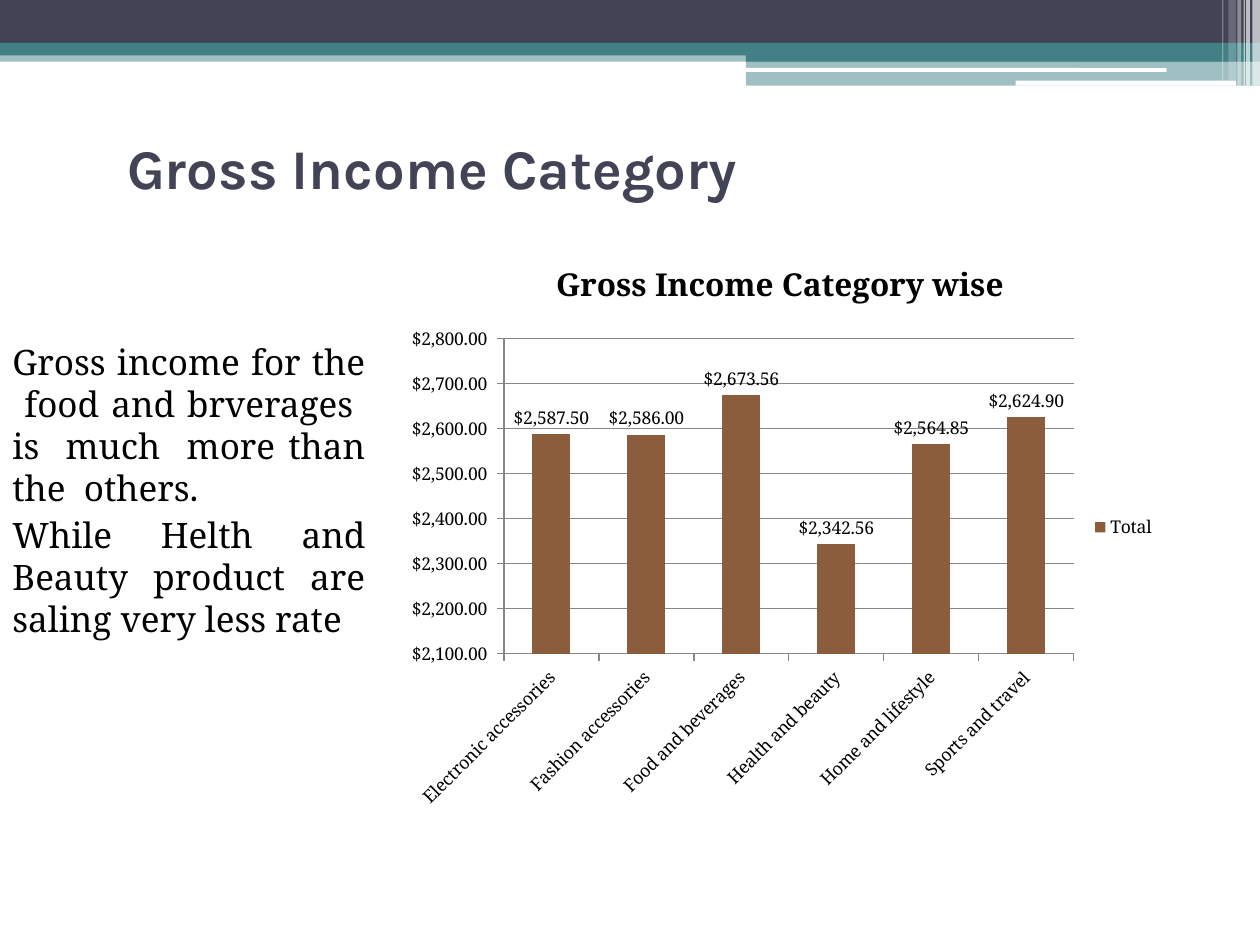
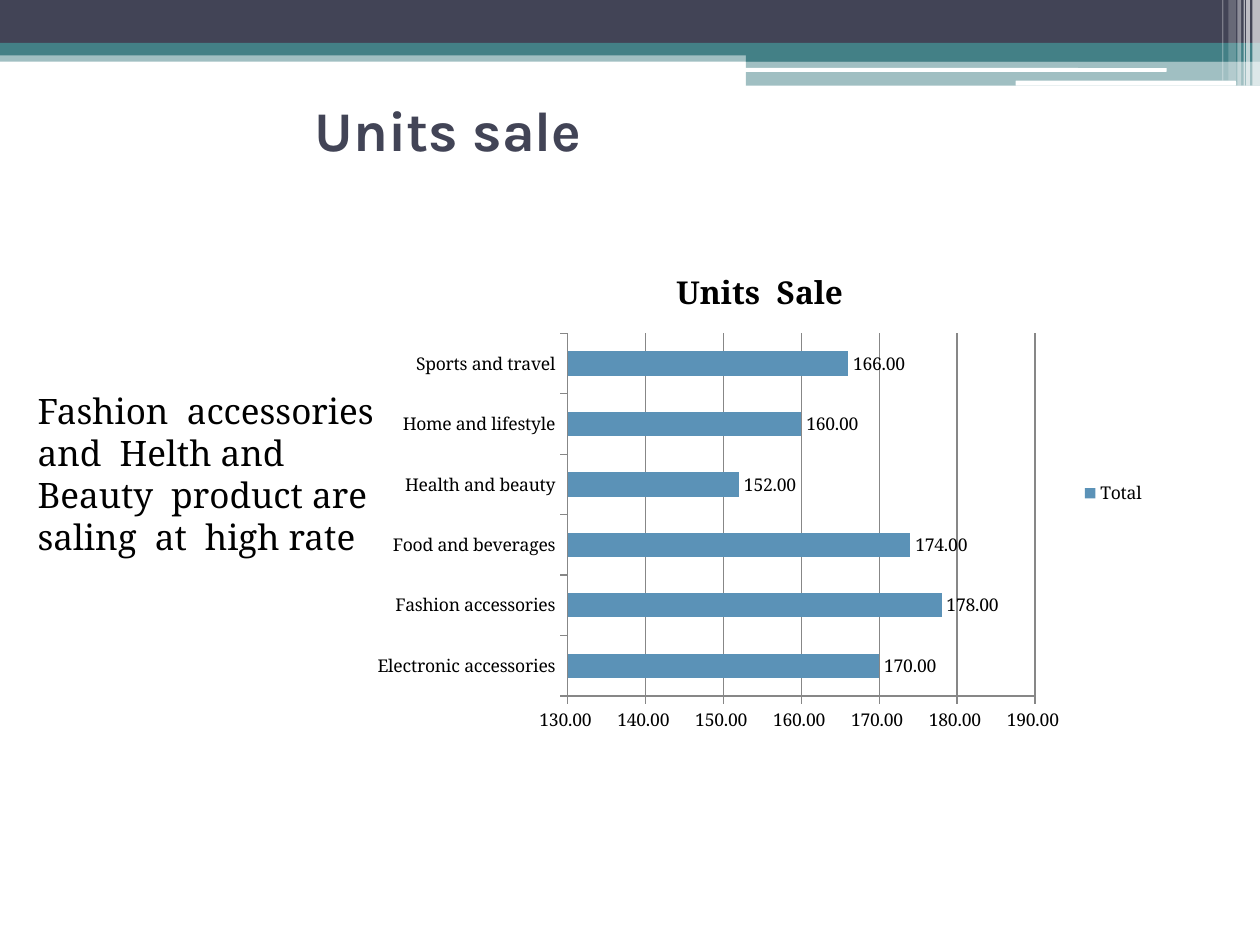
from dataclasses import dataclass

from lxml.etree import SubElement
from pptx import Presentation
from pptx.chart.data import CategoryChartData
from pptx.dml.color import RGBColor
from pptx.enum.chart import XL_CHART_TYPE as ChartType
from pptx.enum.chart import XL_LABEL_POSITION as LabelPosition
from pptx.enum.chart import XL_LEGEND_POSITION as LegendPosition
from pptx.enum.chart import XL_TICK_MARK as TickMark
from pptx.enum.shapes import MSO_SHAPE as Preset
from pptx.enum.text import MSO_ANCHOR as Anchor
from pptx.enum.text import PP_ALIGN as Align
from pptx.oxml.ns import qn
from pptx.util import Inches, Pt


@dataclass(frozen=True)
class Theme:
    """Colours, fonts and type sizes shared by the slides."""
    navy: str = "424456"
    teal: str = "438086"
    white: str = "FFFFFF"
    black: str = "000000"
    axis: str = "878787"
    brown: str = "8B5D3C"
    blue: str = "5B92B7"
    heading_font: str = "Karla"
    body_font: str = "Noto Serif"
    heading_size: int = 32
    body_size: int = 20
    body_leading: int = 24
    chart_title_size: int = 18
    chart_size: int = 10


THEME = Theme()
WIDTH, HEIGHT = 10, 7.5
CATEGORIES = ["Electronic accessories", "Fashion accessories", "Food and beverages",
              "Health and beauty", "Home and lifestyle", "Sports and travel"]
DOLLARS = r"_-[$$-409]* #,##0.00_ ;_-[$$-409]* \-#,##0.00\ "
UNITS = r"#,##0.00_ ;\-#,##0.00\ "

BANDS = [
    ((0, 0.4, WIDTH, 0.09), THEME.teal, 50),
    ((0, 0, WIDTH, 0.34), THEME.navy, 100),
    ((0, 0.34, WIDTH, 0.1), THEME.teal, 100),
    ((5.92, 0.39, 4.08, 0.1), THEME.teal, 100),
    ((5.92, 0.48, 4.08, 0.2), THEME.teal, 50),
]
RULES = [(5.91, 0.54, 3.35, 0.03), (8.06, 0.64, 1.75, 0.04)]
STRIPES = [(9.94, 0.06, 0.68, 65), (9.89, 0.03, 0.68, 65), (9.87, 0.01, 0.68, 60),
           (9.82, 0.03, 0.68, 40), (9.75, 0.06, 0.64, 20), (9.7, 0.01, 0.64, 30)]


def inches(box):
    """Turn a left, top, width, height box into lengths."""
    return [Inches(length) for length in box]


def apply(target, formats):
    """Set every attribute in a dict of format values."""
    for attribute, value in formats.items():
        setattr(target, attribute, value)


def style_font(font, name, size, color, bold=False):
    """Give a font its face, size, weight and colour."""
    apply(font, {"name": name, "size": Pt(size), "bold": bold})
    font.color.rgb = RGBColor.from_string(color)


def add_block(slide, box, color, opacity=100, preset=Preset.RECTANGLE):
    """Draw one flat block without outline or shadow."""
    block = slide.shapes.add_shape(preset, *inches(box))
    block.shadow.inherit = False
    block.fill.solid()
    block.fill.fore_color.rgb = RGBColor.from_string(color)
    block.line.fill.background()
    if opacity < 100:
        tint = block._element.spPr.find(".//" + qn("a:srgbClr"))
        SubElement(tint, qn("a:alpha")).set("val", str(opacity * 1000))


def add_header(slide):
    """Draw the bands, white rules and corner stripes at the top."""
    for box, color, opacity in BANDS:
        add_block(slide, box, color, opacity)
    for box in RULES:
        add_block(slide, box, THEME.white, preset=Preset.ROUNDED_RECTANGLE)
    for left, width, height, opacity in STRIPES:
        add_block(slide, (left, 0, width, height), THEME.white, opacity)


def add_heading(slide, box, wording, lift):
    """Place the slide heading, raised from the bottom of its box by lift."""
    frame = slide.shapes.add_textbox(*inches(box)).text_frame
    apply(frame, {"word_wrap": True, "vertical_anchor": Anchor.BOTTOM,
                  "margin_bottom": Inches(lift)})
    run = frame.paragraphs[0].add_run()
    run.text = wording
    style_font(run.font, THEME.heading_font, THEME.heading_size, THEME.navy, True)


def add_commentary(slide, box, remarks, align):
    """Place the remarks beside the chart, one paragraph each."""
    frame = slide.shapes.add_textbox(*inches(box)).text_frame
    frame.word_wrap = True
    for index, remark in enumerate(remarks):
        paragraph = frame.add_paragraph() if index else frame.paragraphs[0]
        apply(paragraph, {"alignment": align, "space_before": Pt(3),
                          "line_spacing": Pt(THEME.body_leading)})
        run = paragraph.add_run()
        run.text = remark
        style_font(run.font, THEME.body_font, THEME.body_size, THEME.black)


def style_axes(chart, scale, number_format, label_angle):
    """Set the scale, ticks, lines and labels of both axes."""
    low, high, step = scale
    apply(chart.value_axis, {"minimum_scale": low, "maximum_scale": high,
                             "major_unit": step, "has_major_gridlines": True})
    apply(chart.value_axis.tick_labels,
          {"number_format": number_format, "number_format_is_linked": False})
    for axis in (chart.category_axis, chart.value_axis):
        apply(axis, {"major_tick_mark": TickMark.OUTSIDE,
                     "minor_tick_mark": TickMark.NONE})
        style_font(axis.tick_labels.font, THEME.body_font, THEME.chart_size, THEME.black)
    for line in (chart.category_axis.format.line, chart.value_axis.format.line,
                 chart.value_axis.major_gridlines.format.line):
        line.color.rgb = RGBColor.from_string(THEME.axis)
        line.width = Pt(0.75)
    if label_angle:
        body = chart.category_axis._element.find(".//" + qn("a:bodyPr"))
        body.set("rot", str(label_angle * 60000))
        body.set("vert", "horz")


def add_category_chart(slide, box, kind, caption, totals, color, number_format,
                       scale, label_angle=0):
    """Place a chart of one total per product category."""
    figures = CategoryChartData(number_format=number_format)
    figures.categories = CATEGORIES
    figures.add_series("Total", totals)
    chart = slide.shapes.add_chart(kind, *inches(box), figures).chart
    style_font(chart.font, THEME.body_font, THEME.chart_size, THEME.black)

    chart.has_title = True
    chart.chart_title.include_in_layout = False
    heading = chart.chart_title.text_frame.paragraphs[0].add_run()
    heading.text = caption
    style_font(heading.font, THEME.body_font, THEME.chart_title_size, THEME.black, True)

    chart.has_legend = True
    apply(chart.legend, {"position": LegendPosition.RIGHT, "include_in_layout": False})
    style_axes(chart, scale, number_format, label_angle)

    plot = chart.plots[0]
    apply(plot, {"vary_by_categories": False, "gap_width": 150, "has_data_labels": True})
    apply(plot.data_labels, {"show_value": True, "position": LabelPosition.OUTSIDE_END,
                             "number_format": number_format,
                             "number_format_is_linked": False})
    style_font(plot.data_labels.font, THEME.body_font, THEME.chart_size, THEME.black)
    bars = plot.series[0].format.fill
    bars.solid()
    bars.fore_color.rgb = RGBColor.from_string(color)


def new_slide(deck):
    """Add a blank slide with the shared header."""
    slide = deck.slides.add_slide(deck.slide_layouts[6])
    add_header(slide)
    return slide


def build_income_slide(deck):
    """Build the slide on gross income by category."""
    slide = new_slide(deck)
    add_heading(slide, (0.91, 0.92, 8.12, 0.72), "Gross Income Category", 0.05)
    add_commentary(slide, (0, 2.65, 3, 2.5), [
        "Gross income for the  food and brverages  is  much  more than the  others.",
        "While Helth and Beauty product are saling very less rate",
    ], Align.JUSTIFY)
    add_category_chart(slide, (3.11, 1.86, 6.16, 4.65), ChartType.COLUMN_CLUSTERED,
                       "Gross Income Category wise",
                       [2587.5, 2586, 2673.56, 2342.56, 2564.85, 2624.9],
                       THEME.brown, DOLLARS, (2100, 2800, 100), label_angle=-45)


def build_units_slide(deck):
    """Build the slide on units sold by category."""
    slide = new_slide(deck)
    add_heading(slide, (2.4, 0.84, 4.09, 1.02), "Units sale", 0.57)
    add_commentary(slide, (0.2, 3.04, 3, 1.5), [
        "Fashion  accessories  and  Helth and Beauty  product are  saling  at  high rate",
    ], Align.LEFT)
    add_category_chart(slide, (2.87, 1.94, 6.32, 3.95), ChartType.BAR_CLUSTERED,
                       "Units  Sale", [170, 178, 174, 152, 160, 166],
                       THEME.blue, UNITS, (130, 190, 10))


def main():
    """Build and save the presentation."""
    deck = Presentation()
    apply(deck, {"slide_width": Inches(WIDTH), "slide_height": Inches(HEIGHT)})
    build_income_slide(deck)
    build_units_slide(deck)
    deck.save("out.pptx")


main()
